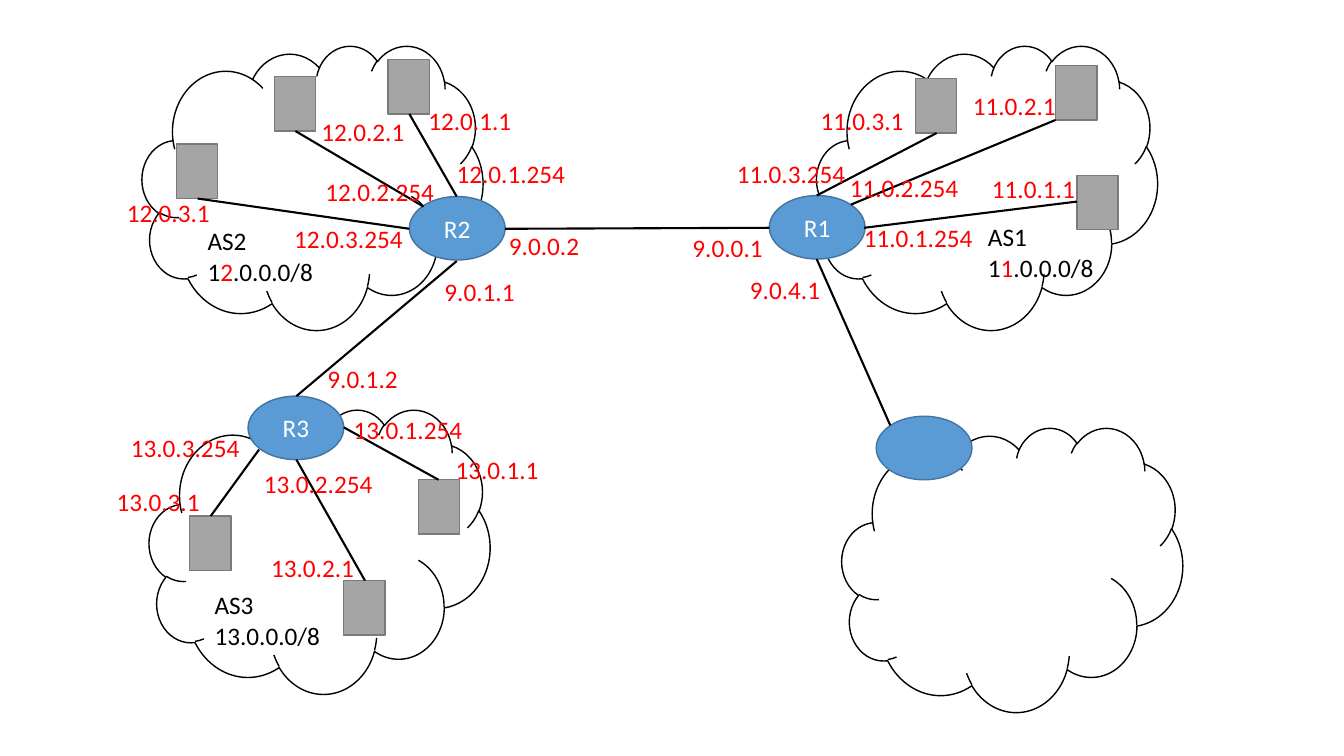
from pptx import Presentation
from pptx.dml.color import RGBColor
from pptx.enum import shapes, text
from pptx.oxml import xmlchemy as xml
from pptx.util import Inches, Pt

BLACK, RED, WHITE = "000000", "FF0000", "FFFFFF"
rgb = RGBColor.from_string

deck = Presentation()
deck.slide_width, deck.slide_height = Inches(13.33), Inches(7.5)
page = deck.slides.add_slide(deck.slide_layouts[6])


def draw(kind, left, top, width, height, line, fill=None):
    """Add a preset shape with a thin outline and an optional fill."""
    shape = page.shapes.add_shape(
        kind, Inches(left), Inches(top), Inches(width), Inches(height))
    shape.shadow.inherit = False
    if fill:
        shape.fill.solid()
        shape.fill.fore_color.rgb = rgb(fill)
    else:
        shape.fill.background()
    shape.line.color.rgb = rgb(line)
    shape.line.width = Pt(1)
    return shape


def write(para, words, color=BLACK, size=18, font="Calibri"):
    """Append formatted text to a paragraph."""
    span = para.add_run()
    span.text = words
    span.font.name = font
    span.font.size = Pt(size)
    span.font.color.rgb = rgb(color)


# Networks
for left, top in [(1.48, 4.06), (1.41, 0.45), (8.1, 0.45), (8.35, 4.24)]:
    draw(shapes.MSO_SHAPE.CLOUD, left, top, 3.38, 2.82, BLACK)

# Routers
for name, left, top in [("R3", 2.46, 3.93), ("R2", 4.06, 1.95),
                        ("R1", 7.63, 1.94), ("", 8.69, 4.13)]:
    router = draw(shapes.MSO_SHAPE.OVAL, left, top, 0.95, 0.63, "43739E", "5B9BD5")
    if name:
        router.text_frame.vertical_anchor = text.MSO_ANCHOR.MIDDLE
        para = router.text_frame.paragraphs[0]
        para.alignment = text.PP_ALIGN.CENTER
        write(para, name, color=WHITE)

# Hosts
for left, top in [(3.85, 0.59), (2.72, 0.76), (1.75, 1.43),
                  (10.68, 1.74), (10.47, 0.65), (9.08, 0.78),
                  (4.15, 4.76), (3.41, 5.76), (1.88, 5.12)]:
    draw(shapes.MSO_SHAPE.RECTANGLE, left, top, 0.41, 0.54, "7A7A7A", "A5A5A5")

# Links: hosts of AS2, AS1 and AS3, then router to router
links = [
    (4.06, 1.13, 4.53, 1.95), (2.93, 1.3, 4.2, 2.05), (1.96, 1.97, 4.06, 2.27),
    (8.1, 1.94, 9.29, 1.32), (8.44, 2.03, 10.47, 1.19), (8.57, 2.26, 10.68, 2),
    (2.09, 5.12, 2.57, 4.46), (3.62, 5.76, 2.94, 4.56), (4.35, 4.76, 3.41, 4.24),
    (5.01, 2.27, 7.63, 2.26), (2.94, 3.93, 4.53, 2.59), (8.83, 4.22, 8.1, 2.57),
]
for ends in links:
    link = page.shapes.add_connector(
        shapes.MSO_CONNECTOR.STRAIGHT, *[Inches(end) for end in ends])
    link.line.color.rgb = rgb(BLACK)
    link.line.width = Pt(1.5)
    link._element.spPr.append(xml.OxmlElement("a:effectLst"))

# Labels: each holds paragraphs made of (words, color) pieces
labels = [
    (2.03, 5.8, 1.38, [[("AS3", BLACK)], [("13.0.0.0/8", BLACK)]]),
    (1.96, 2.19, 1.38, [[("AS2", BLACK)],
                        [("1", BLACK), ("2", RED), (".0.0.0/8", BLACK)]]),
    (9.7, 2.15, 1.38, [[("AS1", BLACK)],
                       [("1", BLACK), ("1", RED), (".0.0.0/8", BLACK)]]),
]
addresses = [
    ("12.0.1.1", 4.15, 1), ("12.0.2.1", 3.09, 1.11), ("12.0.3.1", 1.16, 1.91),
    ("12.0.1.254", 4.43, 1.52), ("12.0.2.254", 3.13, 1.7), ("12.0.3.254", 2.82, 2.17),
    ("11.0.1.1", 9.74, 1.67), ("11.0.2.1", 9.55, 0.85), ("11.0.3.1", 8.04, 1),
    ("11.0.1.254", 8.47, 2.16), ("11.0.2.254", 8.33, 1.66), ("11.0.3.254", 7.21, 1.52),
    ("13.0.1.1", 4.42, 4.46), ("13.0.2.1", 2.59, 5.43), ("13.0.3.1", 1.06, 4.78),
    ("13.0.1.254", 3.41, 4.06), ("13.0.2.254", 2.52, 4.6), ("13.0.3.254", 1.2, 4.24),
    ("9.0.0.1", 6.77, 2.26), ("9.0.0.2", 4.95, 2.24), ("9.0.4.1", 7.34, 2.67),
    ("9.0.1.1", 4.31, 2.69), ("9.0.1.2", 3.15, 3.56),
]
for address, left, top in addresses:
    width = 1.3 if address.endswith("254") else 1.03
    labels.append((left, top, width, [[(address, RED)]]))

for left, top, width, rows in labels:
    height = 0.71 if len(rows) == 2 else 0.4
    box = page.shapes.add_textbox(
        Inches(left), Inches(top), Inches(width), Inches(height))
    frame = box.text_frame
    frame.word_wrap = True
    frame.auto_size = text.MSO_AUTO_SIZE.SHAPE_TO_FIT_TEXT
    for index, row in enumerate(rows):
        para = frame.add_paragraph() if index else frame.paragraphs[0]
        for words, color in row:
            write(para, words, color=color)

deck.save("out.pptx")
